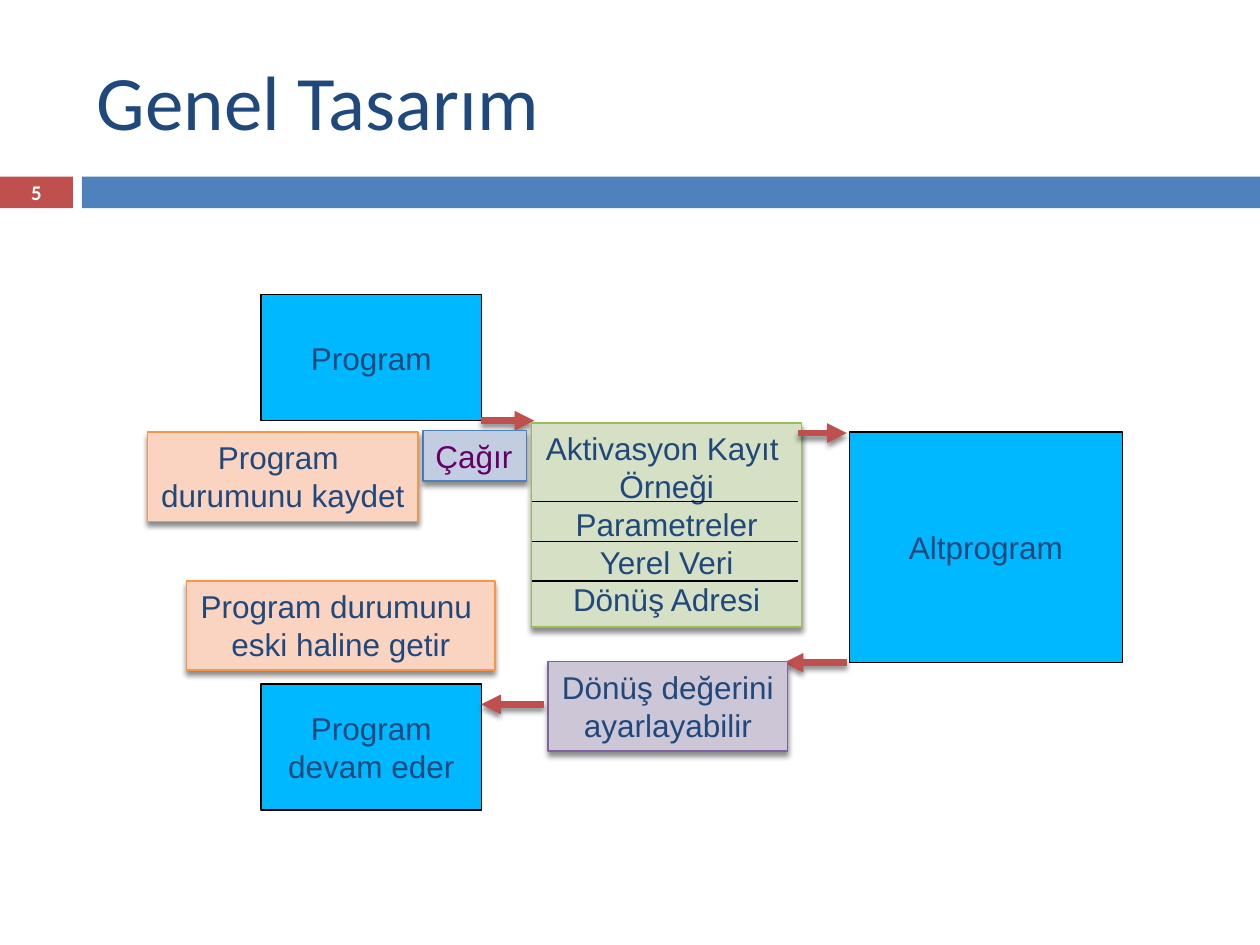
from lxml import etree
from pptx import Presentation
from pptx.dml.color import RGBColor
from pptx.enum.shapes import MSO_CONNECTOR, MSO_SHAPE
from pptx.enum.text import MSO_ANCHOR, PP_ALIGN
from pptx.oxml.ns import qn
from pptx.util import Cm, Pt

RECT = MSO_SHAPE.RECTANGLE
STRAIGHT = MSO_CONNECTOR.STRAIGHT
TOP, MIDDLE = MSO_ANCHOR.TOP, MSO_ANCHOR.MIDDLE
LEFT, CENTER = PP_ALIGN.LEFT, PP_ALIGN.CENTER

NAVY = RGBColor(0x1F, 0x49, 0x7D)
BLUE = RGBColor(0x4F, 0x81, 0xBD)
RED = RGBColor(0xC0, 0x50, 0x4D)
WHITE = RGBColor(0xFF, 0xFF, 0xFF)
BLACK = RGBColor(0, 0, 0)
PLUM = RGBColor(0x66, 0x00, 0x66)
CYAN = RGBColor(0x00, 0xB8, 0xFF)
PALE_BLUE = RGBColor(0xC2, 0xCD, 0xE1)
GREEN = RGBColor(0x9B, 0xBB, 0x59)
PALE_GREEN = RGBColor(0xD5, 0xE0, 0xC4)
ORANGE = RGBColor(0xF7, 0x96, 0x46)
PALE_ORANGE = RGBColor(0xFB, 0xD3, 0xC1)
PURPLE = RGBColor(0x80, 0x64, 0xA2)
PALE_PURPLE = RGBColor(0xCD, 0xC6, 0xD7)


def set_effects(sp, shadow):
    """Give a shape a soft shadow below it, or no effect at all."""
    effects = etree.SubElement(sp._element.spPr, qn("a:effectLst"))
    if shadow:
        outer = etree.SubElement(effects, qn("a:outerShdw"), blurRad=str(Pt(3)),
                                 dist=str(Pt(2.4)), dir="5400000", rotWithShape="0")
        color = etree.SubElement(outer, qn("a:srgbClr"), val="000000")
        etree.SubElement(color, qn("a:alpha"), val="45000")


def add_lines(tf, lines, size, color, font="Arial", align=CENTER, bold=False):
    """Write one paragraph for each line of text."""
    for i, text in enumerate(lines):
        p = tf.paragraphs[0] if i == 0 else tf.add_paragraph()
        p.alignment = align
        r = p.add_run()
        r.text = text
        r.font.name, r.font.size, r.font.bold = font, Pt(size), bold
        r.font.color.rgb = color


def add_box(s, x, y, w, h, fill, line=None, width=0.75, shadow=False):
    """Add a filled rectangle measured in centimetres."""
    sp = s.shapes.add_shape(RECT, Cm(x), Cm(y), Cm(w), Cm(h))
    sp.fill.solid()
    sp.fill.fore_color.rgb = fill
    if line is None:
        sp.line.fill.background()
    else:
        sp.line.color.rgb = line
        sp.line.width = Pt(width)
    set_effects(sp, shadow)
    return sp


def add_program(s, x, y, w, h, lines):
    """Add a cyan program unit with its name in the middle."""
    tf = add_box(s, x, y, w, h, CYAN, BLACK).text_frame
    tf.word_wrap, tf.vertical_anchor = False, MIDDLE
    add_lines(tf, lines, 18, NAVY)


def add_step(s, x, y, w, h, lines, fill, line, color=NAVY, align=CENTER):
    """Add a shadowed step box with text from the top."""
    tf = add_box(s, x, y, w, h, fill, line, 0.79, True).text_frame
    tf.word_wrap, tf.vertical_anchor = False, TOP
    add_lines(tf, lines, 18, color, align=align)


def add_line(s, x1, x2, y, color=BLACK, width=0.75, arrow=False):
    """Add a level line, as a shadowed arrow if asked."""
    cn = s.shapes.add_connector(STRAIGHT, Cm(x1), Cm(y), Cm(x2), Cm(y))
    cn.line.color.rgb = color
    cn.line.width = Pt(width)
    if arrow:
        etree.SubElement(cn.line._get_or_add_ln(), qn("a:tailEnd"), type="triangle")
    set_effects(cn, arrow)


def add_arrow(s, x1, x2, y):
    """Add a thick red flow arrow."""
    add_line(s, x1, x2, y, RED, 3.75, True)


def add_header(s, x, y, w, h, title, number):
    """Place the title above the band that carries the slide number."""
    add_box(s, x, y, 1.47, h, RED)
    add_box(s, x + 1.65, y, w - 1.65, h, BLUE)
    sp = s.shapes.title
    sp.left, sp.top, sp.width, sp.height = Cm(x + 1.7), Cm(y - 2.92), Cm(23.42), Cm(2.74)
    sp.text_frame.vertical_anchor = MIDDLE
    add_lines(sp.text_frame, [title], 44, NAVY, "Calibri", LEFT)
    tf = s.shapes.add_textbox(Cm(x), Cm(y), Cm(1.47), Cm(h)).text_frame
    tf.word_wrap, tf.vertical_anchor = True, MIDDLE
    tf.margin_top = tf.margin_bottom = 0
    add_lines(tf, [number], 11.9, WHITE, "Calibri", bold=True)


def add_record(s, x, y, w, h):
    """Add the activation record with its field dividers."""
    add_step(s, x, y, w, h, ["Aktivasyon Kayıt ", "Örneği", "Parametreler",
                             "Yerel Veri", "Dönüş Adresi"], PALE_GREEN, GREEN)
    for i in range(3):
        add_line(s, x, x + w - 0.08, y + 1.58 + 0.8 * i)


def add_call(s, x, y):
    """Place the call path from program to subprogram."""
    add_program(s, x + 2.29, y, 4.45, 2.54, ["Program"])
    add_arrow(s, x + 6.73, x + 7.8, y + 2.54)
    add_step(s, x + 5.56, y + 2.74, 2.08, 1.02, ["Çağır"], PALE_BLUE, BLUE, PLUM, LEFT)
    add_record(s, x + 7.75, y + 2.59, 5.44, 4.11)
    add_arrow(s, x + 13.11, x + 14.1, y + 2.79)
    add_program(s, x + 14.15, y + 2.77, 5.51, 4.65, ["Altprogram"])
    add_step(s, x, y + 2.77, 5.46, 1.8, ["Program ", "durumunu kaydet"],
             PALE_ORANGE, ORANGE)


def add_return(s, x, y):
    """Place the return path back to the program."""
    add_arrow(s, x + 13.31, x + 12.04, y + 1.65)
    add_step(s, x + 7.29, y + 1.63, 4.83, 1.8, ["Dönüş değerini", "ayarlayabilir"],
             PALE_PURPLE, PURPLE)
    add_program(s, x + 1.5, y + 2.08, 4.45, 2.54, ["Program", "devam eder"])
    add_step(s, x, y, 6.22, 1.8, ["Program durumunu ", "eski haline getir"],
             PALE_ORANGE, ORANGE)
    add_arrow(s, x + 7.21, x + 5.94, y + 2.49)


def main():
    """Build and save the slide."""
    prs = Presentation()
    prs.slide_width, prs.slide_height = Cm(25.4), Cm(19.05)
    s = prs.slides.add_slide(prs.slide_layouts[5])
    add_header(s, 0, 3.56, 25.4, 0.64, "Genel Tasarım", "5")
    add_call(s, 2.97, 5.94)
    add_return(s, 3.76, 11.71)
    prs.save("out.pptx")


if __name__ == "__main__":
    main()
